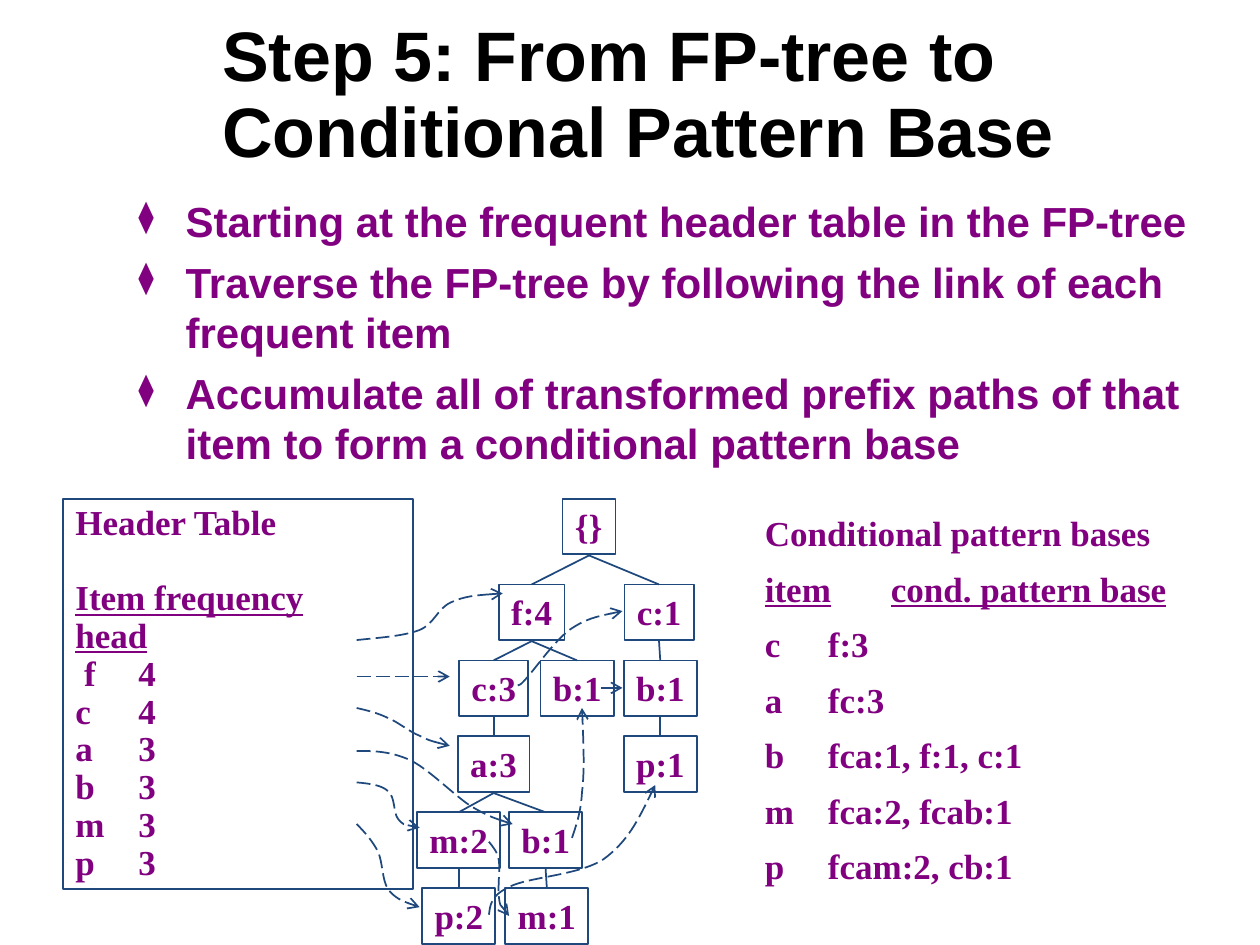
from dataclasses import dataclass
from typing import NamedTuple, Optional

from lxml import etree
from pptx import Presentation
from pptx.dml import color as rgb
from pptx.enum import dml, shapes, text
from pptx.oxml import ns
from pptx.util import Pt


@dataclass(frozen=True)
class Theme:
    heading: str = "000000"
    body: str = "800080"
    ink: str = "1F497D"
    sans: str = "Arial"
    serif: str = "Times New Roman"
    title_size: int = 40
    bullet_size: int = 24
    label_size: int = 20
    line_width: int = 1


class Node(NamedTuple):
    label: str
    center: float
    row: int
    width: float
    parent: Optional[int] = None

    @property
    def top(self) -> float:
        return 285 if self.row == 0 else 334 + 43.4 * (self.row - 1)


class Line(NamedTuple):
    content: str
    underline: bool = False
    spacing: float = 1
    before: float = 0
    indent: float = 0


THEME = Theme()
NODE_HEIGHT = 31.7

TREE = [
    Node("{}", 336.6, 0, 30.3),
    Node("f:4", 303.8, 1, 37.5, 0),
    Node("c:1", 376.6, 1, 39.6, 0),
    Node("b:1", 377.3, 2, 41.8, 2),
    Node("p:1", 377.3, 3, 41.8, 3),
    Node("c:3", 282.1, 2, 39.6, 1),
    Node("b:1", 329.8, 2, 41.8, 1),
    Node("a:3", 282.1, 3, 41, 5),
    Node("m:2", 262.1, 4, 47.5, 7),
    Node("b:1", 311.8, 4, 41.8, 7),
    Node("p:2", 262.1, 5, 41.8, 8),
    Node("m:1", 312.5, 5, 47.5, 9),
]

BULLETS = [
    "Starting at the frequent header table in the FP-tree",
    "Traverse the FP-tree by following the link of each frequent item",
    "Accumulate all of transformed prefix paths of that item to form a conditional pattern base",
]
FREQUENCIES = {"f": 4, "c": 4, "a": 3, "b": 3, "m": 3, "p": 3}
PATTERN_BASES = {
    "c": "f:3", "a": "fc:3", "b": "fca:1, f:1, c:1",
    "m": "fca:2, fcab:1", "p": "fcam:2, cb:1",
}

STRAIGHT_LINKS = [((203.8, 386.6), (257, 386.6)), ((343.4, 393.1), (355.7, 393.1))]
CURVED_LINKS = [
    [(203.8, 365.8), (217.4, 364.3), (230.4, 363.6), (239.8, 360), (248.4, 356.4),
     (249.8, 347.8), (257.8, 344.2), (265.7, 340.6), (276.5, 339.8), (287.3, 339.1)],
    [(295.9, 391.7), (296.6, 391.7), (297.4, 391.7), (301.7, 386.6), (306.7, 380.9),
     (316.8, 366.5), (325.4, 360), (334.8, 353.5), (344.9, 351.4), (355.7, 349.2)],
    [(203.8, 404.6), (210.2, 406.1), (216, 407.5), (221.8, 410.4), (227.5, 412.6),
     (234, 418.3), (239.8, 420.5), (245.5, 423.4), (251.3, 424.8), (257, 426.2)],
    [(203.8, 429.1), (213.1, 429.1), (222.5, 429.1), (234, 434.2), (244.8, 439.2),
     (259.2, 454.3), (269.3, 460.8), (279.4, 466.6), (285.8, 468.7), (293, 470.9)],
    [(326.9, 478.8), (329, 472.3), (331.9, 465.1), (332.6, 452.9), (334.1, 440.6),
     (333.4, 422.6), (332.6, 404.6)],
    [(203.8, 447.1), (211, 447.8), (218.2, 448.6), (221.8, 452.2), (226.1, 455.8),
     (224.6, 464.4), (227.5, 468), (230.4, 471.6), (235.4, 472.3), (239.8, 473)],
    [(279.4, 481), (281.5, 483.8), (284.4, 486.7), (285.1, 491.8), (285.8, 496.8),
     (284.4, 507.6), (285.1, 512.6), (285.8, 518.4), (288.7, 520.6), (290.9, 523.4)],
    [(203.8, 470.9), (208.8, 475.9), (213.1, 481), (216, 486.7), (218.9, 493.2),
     (218.2, 502.6), (221.8, 508.3), (226.1, 513.4), (232.6, 516.2), (239.8, 518.4)],
    [(279.4, 522.7), (280.1, 517.7), (280.1, 511.9), (290.9, 506.9), (301.7, 501.1),
     (330.5, 500.4), (344.9, 491), (358.6, 481), (366.5, 465.1), (374.4, 448.6)],
]


def add_child(parent, tag: str, **attributes: str):
    return etree.SubElement(parent, ns.qn(tag), attributes)


def add_bullet(paragraph) -> None:
    properties = paragraph._p.get_or_add_pPr()
    properties.set("marL", str(Pt(27)))
    properties.set("indent", str(Pt(-27)))
    add_child(add_child(properties, "a:buClr"), "a:srgbClr", val=THEME.body)
    add_child(properties, "a:buSzPct", val="75000")
    add_child(properties, "a:buChar", char="⧫")


def write(frame, lines: list[Line], *, font: str = THEME.serif, size: float = THEME.label_size,
          color: str = THEME.body, bullets: bool = False, wrap: bool = True,
          anchor=text.MSO_ANCHOR.TOP) -> None:
    frame.word_wrap = wrap
    frame.vertical_anchor = anchor
    for index, line in enumerate(lines):
        paragraph = frame.add_paragraph() if index else frame.paragraphs[0]
        paragraph.text = line.content
        paragraph.alignment = text.PP_ALIGN.LEFT
        paragraph.line_spacing = line.spacing
        paragraph.space_before = Pt(line.before if index else 0)
        if line.indent:
            paragraph._p.get_or_add_pPr().set("indent", str(Pt(line.indent)))
        if bullets:
            add_bullet(paragraph)
        for run in paragraph.runs:
            run.font.name, run.font.size, run.font.bold = font, Pt(size), True
            run.font.underline = line.underline
            run.font.color.rgb = rgb.RGBColor.from_string(color)


def add_text(slide, bounds: tuple, lines: list[Line], **style) -> None:
    write(slide.shapes.add_textbox(*map(Pt, bounds)).text_frame, lines, **style)


def stroke(line, link: bool = False) -> None:
    line.color.rgb = rgb.RGBColor.from_string(THEME.ink)
    line.width = Pt(THEME.line_width)
    if link:
        line.dash_style = dml.MSO_LINE.LONG_DASH
        add_child(line._get_or_add_ln(), "a:tailEnd", type="arrow")


def add_box(slide, bounds: tuple, lines: list[Line], **style) -> None:
    box = slide.shapes.add_shape(shapes.MSO_SHAPE.RECTANGLE, *map(Pt, bounds))
    box.shadow.inherit = False
    box.fill.background()
    stroke(box.line)
    write(box.text_frame, lines, **style)


def add_line(slide, start: tuple, end: tuple, link: bool = False) -> None:
    connector = slide.shapes.add_connector(shapes.MSO_CONNECTOR.STRAIGHT, *map(Pt, start + end))
    stroke(connector.line, link)
    add_child(connector._element.spPr, "a:effectLst")


def add_curve(slide, points: list[tuple]) -> None:
    start, *controls = [(Pt(x), Pt(y)) for x, y in points]
    builder = slide.shapes.build_freeform(*start)
    builder.add_line_segments(controls, close=False)
    curve = builder.convert_to_shape()
    curve.shadow.inherit = False
    curve.fill.background()
    stroke(curve.line, link=True)
    segments = list(curve._element.iter(ns.qn("a:lnTo")))
    outline = segments[0].getparent()
    for first in range(0, len(segments), 3):
        bezier = add_child(outline, "a:cubicBezTo")
        for segment in segments[first:first + 3]:
            bezier.append(segment[0])
            outline.remove(segment)


def main() -> None:
    deck = Presentation()
    deck.slide_width, deck.slide_height = Pt(720), Pt(540)
    slide = deck.slides.add_slide(deck.slide_layouts[6])

    add_text(slide, (120, 18, 576, 84),
             [Line("Step 5: From FP-tree to Conditional Pattern Base", spacing=0.9)],
             font=THEME.sans, size=THEME.title_size, color=THEME.heading,
             anchor=text.MSO_ANCHOR.BOTTOM)
    add_text(slide, (72, 108, 618, 102), [Line(bullet, before=6) for bullet in BULLETS],
             font=THEME.sans, size=THEME.bullet_size, bullets=True)

    bases = [Line("Conditional pattern bases"),
             Line("item\tcond. pattern base", underline=True, spacing=0.8, before=12.5)]
    bases += [Line(f"{item}\t{base}", spacing=0.8, before=12.5)
              for item, base in PATTERN_BASES.items()]
    add_text(slide, (430, 288.7, 262, 221.8), bases)

    for node in TREE:
        add_box(slide, (node.center - node.width / 2, node.top, node.width, NODE_HEIGHT),
                [Line(node.label)], wrap=False)
        if node.parent is not None:
            parent = TREE[node.parent]
            add_line(slide, (parent.center, parent.top + NODE_HEIGHT + 0.7),
                     (node.center, node.top))

    header = [Line("Header Table", spacing=0.9),
              Line("Item frequency\vhead", underline=True, spacing=0.9, before=21.6)]
    header += [Line(f"{item}\t{count}", spacing=0.9, indent=5 if item == "f" else 0)
               for item, count in FREQUENCIES.items()]
    add_box(slide, (36, 285, 200.2, 223.2), header)

    for start, end in STRAIGHT_LINKS:
        add_line(slide, start, end, link=True)
    for points in CURVED_LINKS:
        add_curve(slide, points)

    deck.save("out.pptx")


if __name__ == "__main__":
    main()
